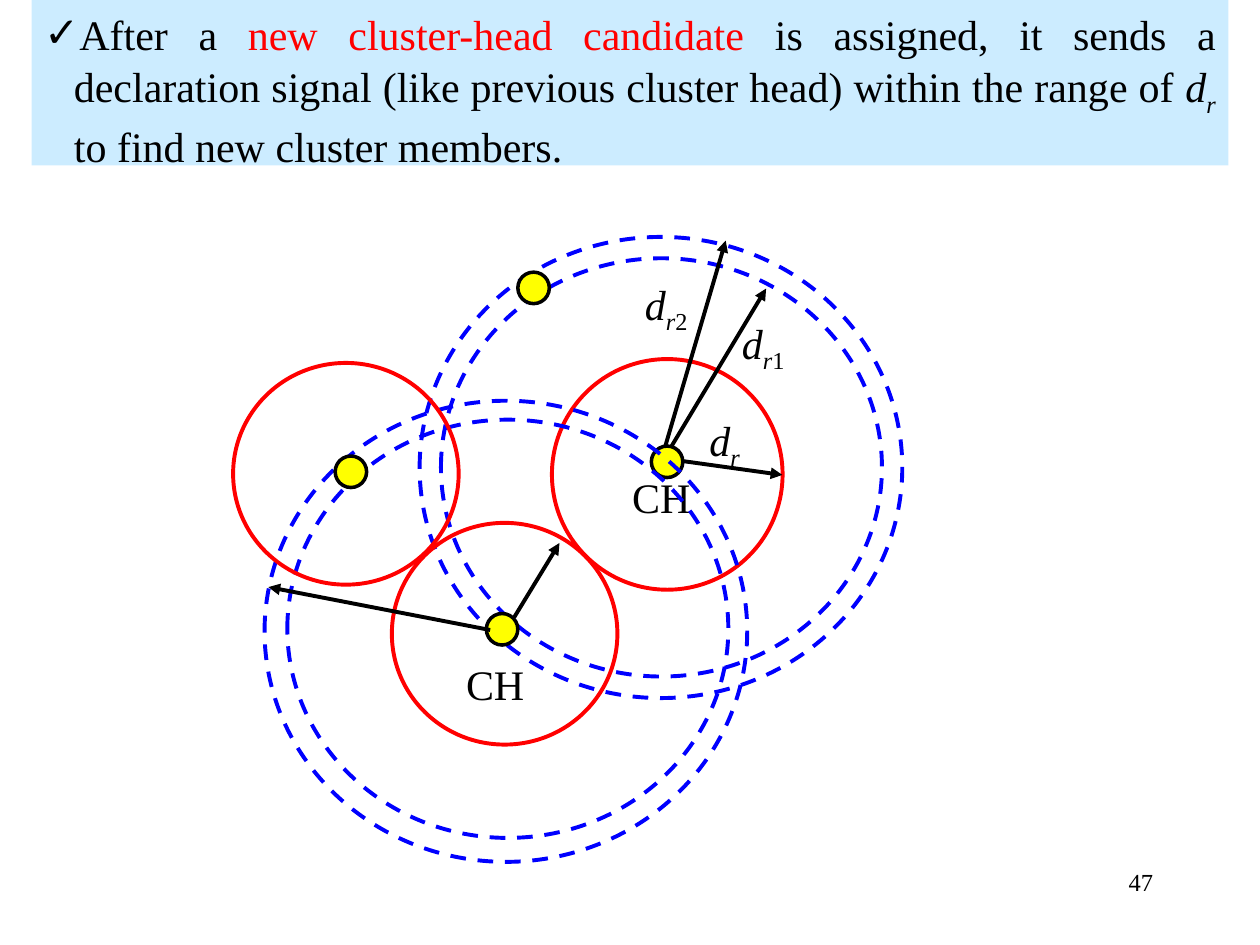
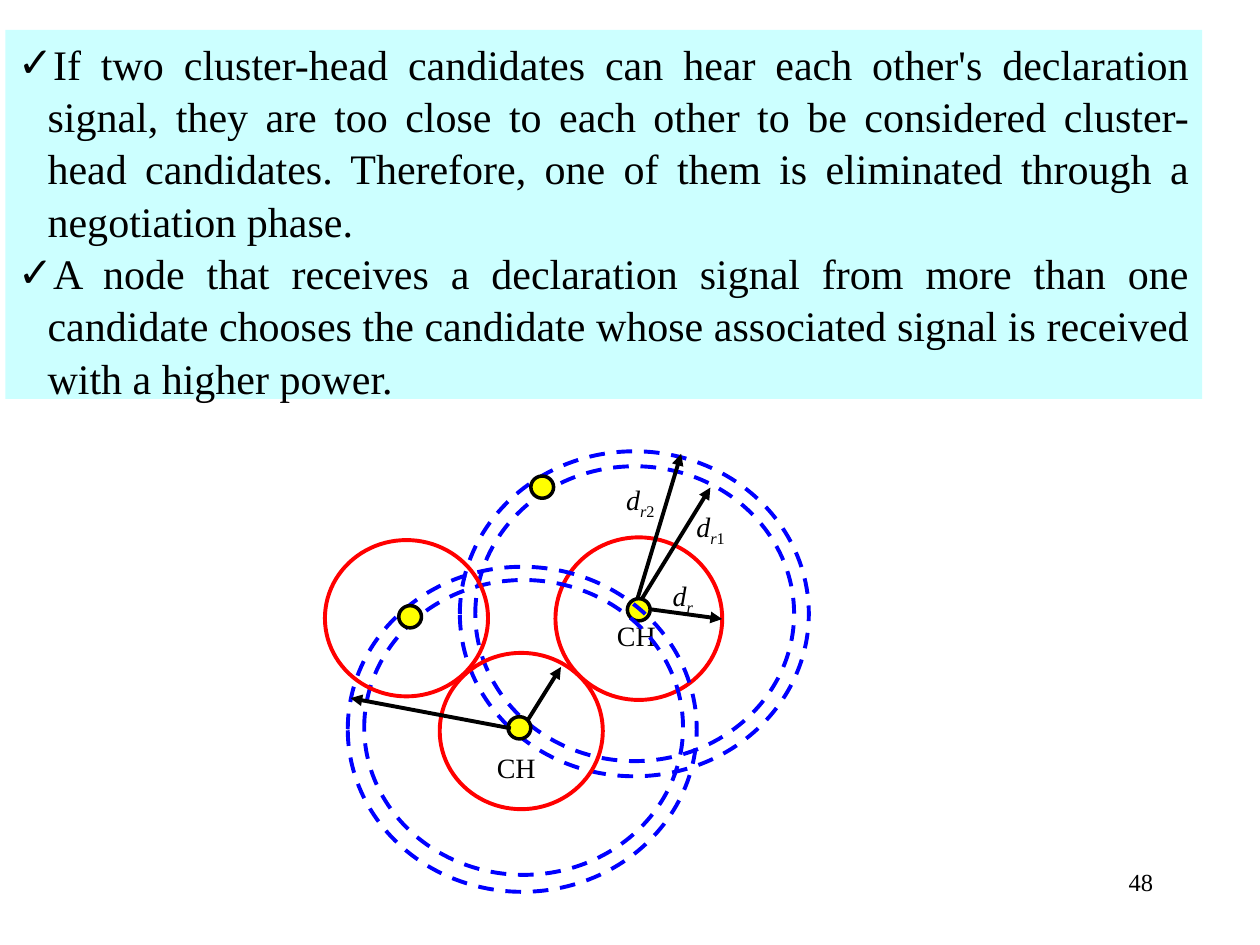
from lxml import etree
from pptx import Presentation
from pptx.dml.color import RGBColor
from pptx.enum.dml import MSO_LINE
from pptx.enum.shapes import MSO_CONNECTOR, MSO_SHAPE
from pptx.enum.text import MSO_ANCHOR, MSO_AUTO_SIZE, PP_ALIGN
from pptx.oxml.ns import qn
from pptx.util import Pt

FONT = "Times New Roman"
BLACK, RED, BLUE, YELLOW = "000000", "FF0000", "0000FF", "FFFF00"
TEXT_SIZE = 24
BULLET_INDENT = 17
NODE_SIZE = 18

# Diagram parts in points, from back to front
RANGE_INNER, RANGE_OUTER = (252, 239), (275.8, 263.5)
CLUSTER, WIDE_CLUSTER = (128.9, 126.7), (131.8, 131.8)
DIAGRAM = [
    ("cluster", (315.4, 205.2), WIDE_CLUSTER),
    ("range", (252, 147.6), RANGE_INNER),
    ("range", (239.8, 135.4), RANGE_OUTER),
    ("node", (372.2, 254.9), (NODE_SIZE, NODE_SIZE)),
    ("arrow", (390.2, 263.5), (447.1, 271.4)),
    ("arrow", (383.8, 254.9), (437.8, 164.9)),
    ("arrow", (380.2, 254.9), (414.7, 137.5)),
    ("label", (398.2, 233.3), "dr"),
    ("label", (416.9, 177.8), "dr1"),
    ("label", (361.4, 155.5), "dr2"),
    ("label", (354.2, 265.7), "CH"),
    ("node", (295.9, 155.5), (NODE_SIZE, NODE_SIZE)),
    ("node", (277.9, 350.6), (NODE_SIZE, NODE_SIZE)),
    ("cluster", (223.9, 298.8), CLUSTER),
    ("range", (164.2, 239.8), RANGE_INNER),
    ("range", (151.2, 229), RANGE_OUTER),
    ("label", (259.2, 373), "CH"),
    ("node", (191.5, 260.6), (NODE_SIZE, NODE_SIZE)),
    ("cluster", (133.2, 207.4), CLUSTER),
    ("arrow", (293.8, 352.8), (319.7, 310.3)),
    ("arrow", (280.1, 360), (153.4, 335.5)),
]
# fill, line colour, line width, dash
CIRCLE_STYLES = {
    "cluster": (None, RED, 2.25, None),
    "range": (None, BLUE, 2.25, MSO_LINE.DASH),
    "node": (YELLOW, BLACK, 2, None),
}

SLIDES = [
    {
        "number": 47,
        "box": (18, 0, 684, 94.5),
        "fill": "CCECFF",
        "scale": (1, 1),
        "offset": (0, 0),
        "label_size": 24,
        "bullets": [[
            ("After a ", {}),
            ("new cluster-head candidate ", {"color": RED}),
            ("is assigned, it sends a declaration signal (like previous "
             "cluster head) within the range of ", {}),
            ("d", {"italic": True}),
            ("r", {"italic": True, "baseline": -25}),
            (" to find new cluster members.", {}),
        ]],
    },
    {
        "number": 48,
        "box": (3, 17, 684, 211),
        "fill": "CCFFFF",
        "scale": (0.723, 0.705),
        "offset": (89.4, 162.4),
        "label_size": 16,
        "bullets": [
            [("If two cluster-head candidates can hear each other's "
              "declaration signal, they are too close to each other to be "
              "considered cluster-head candidates. Therefore, one of them is "
              "eliminated through a negotiation phase.", {})],
            [("A node that receives a declaration signal from more than one "
              "candidate chooses the candidate whose associated signal is "
              "received with a higher power.", {})],
        ],
    },
]


def write(paragraph, text, size=TEXT_SIZE, color=BLACK, italic=False, baseline=0):
    """Add one run; baseline is a percentage, negative for a subscript."""
    run = paragraph.add_run()
    run.text = text
    run.font.name = FONT
    run.font.size = Pt(size)
    run.font.italic = italic
    run.font.color.rgb = RGBColor.from_string(color)
    if baseline:
        run._r.get_or_add_rPr().set("baseline", str(baseline * 1000))


presentation = Presentation()
presentation.slide_width, presentation.slide_height = Pt(720), Pt(540)
layout = presentation.slide_layouts.get_by_name("Title and Content")

for content in SLIDES:
    slide = presentation.slides.add_slide(layout)
    title = slide.shapes.title
    title.element.getparent().remove(title.element)

    # Tinted box with the bullets
    body = slide.placeholders[1]
    body.left, body.top, body.width, body.height = map(Pt, content["box"])
    body.fill.solid()
    body.fill.fore_color.rgb = RGBColor.from_string(content["fill"])
    frame = body.text_frame
    frame.auto_size = MSO_AUTO_SIZE.NONE
    frame.vertical_anchor = MSO_ANCHOR.TOP
    for index, runs in enumerate(content["bullets"]):
        paragraph = frame.add_paragraph() if index else frame.paragraphs[0]
        paragraph.alignment = PP_ALIGN.JUSTIFY
        paragraph.space_before = Pt(0)
        paragraph.line_spacing = 1.04
        properties = paragraph._p.get_or_add_pPr()
        properties.set("marL", str(Pt(BULLET_INDENT)))
        properties.set("indent", str(-Pt(BULLET_INDENT)))
        etree.SubElement(properties, qn("a:buChar")).set("char", "✓")
        for text, style in runs:
            write(paragraph, text, **style)

    number_box = slide.shapes.add_textbox(Pt(516), Pt(492), Pt(150), Pt(36))
    paragraph = number_box.text_frame.paragraphs[0]
    number_box.text_frame.word_wrap = True
    paragraph.alignment = PP_ALIGN.RIGHT
    write(paragraph, str(content["number"]), size=14)

    # Cluster diagram, scaled to the room left on the slide
    diagram = slide.shapes.add_group_shape().shapes
    (scale_x, scale_y), (offset_x, offset_y) = content["scale"], content["offset"]
    for kind, (x, y), detail in DIAGRAM:
        left, top = Pt(offset_x + scale_x * x), Pt(offset_y + scale_y * y)
        if kind == "label":
            size = content["label_size"]
            label = diagram.add_textbox(left, top, Pt(60 * scale_x), Pt(size * 1.2 + 7.2))
            label.text_frame.word_wrap = True
            paragraph = label.text_frame.paragraphs[0]
            if detail == "CH":
                write(paragraph, detail, size=size)
            else:
                for position, letter in enumerate(detail):
                    write(paragraph, letter, size=size, italic=letter.isalpha(),
                          baseline=-25 if position else 0)
        elif kind == "arrow":
            end_x, end_y = detail
            arrow = diagram.add_connector(
                MSO_CONNECTOR.STRAIGHT, left, top,
                Pt(offset_x + scale_x * end_x), Pt(offset_y + scale_y * end_y))
            arrow.line.color.rgb = RGBColor.from_string(BLACK)
            arrow.line.width = Pt(2.25)
            etree.SubElement(arrow.line._get_or_add_ln(), qn("a:tailEnd")).set("type", "triangle")
            etree.SubElement(arrow.element.spPr, qn("a:effectLst"))
        else:
            width, height = detail
            fill, line_color, line_width, dash = CIRCLE_STYLES[kind]
            circle = diagram.add_shape(
                MSO_SHAPE.OVAL, left, top, Pt(scale_x * width), Pt(scale_y * height))
            circle.shadow.inherit = False
            if fill:
                circle.fill.solid()
                circle.fill.fore_color.rgb = RGBColor.from_string(fill)
            else:
                circle.fill.background()
            circle.line.color.rgb = RGBColor.from_string(line_color)
            circle.line.width = Pt(line_width)
            if dash:
                circle.line.dash_style = dash

presentation.save("out.pptx")
